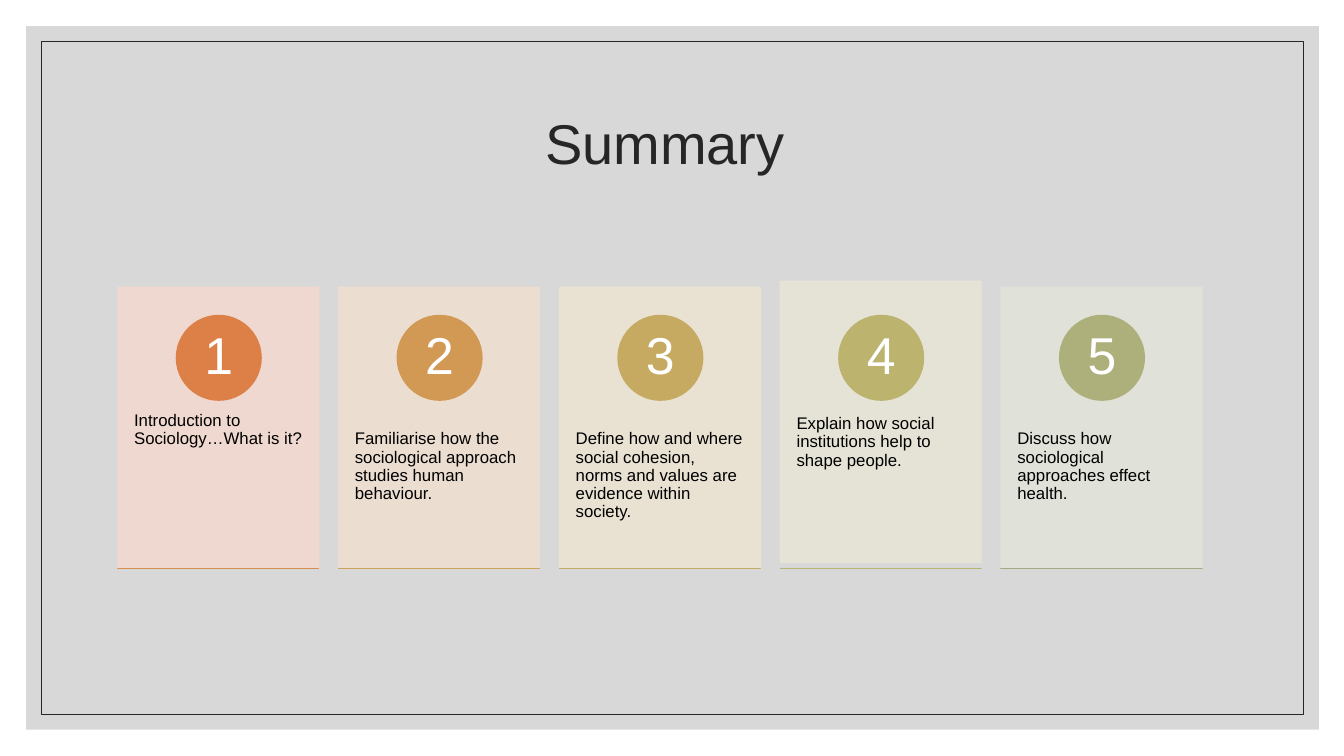
from lxml import etree
from pptx import Presentation
from pptx import util as u
from pptx.dml.color import RGBColor
from pptx.enum import shapes, text
from pptx.oxml import ns

PX = 9144
PITCH = 219
CARD_LEFT, CARD_TOP, CARD_WIDTH, CARD_HEIGHT = 117, 285, 199, 279
BADGE_TOP, BADGE_SIZE = 313, 84
RULE_Y = 564

CARDS = [
    ("Introduction to Sociology…What is it?", "F2D8CF", "DD8047", "D78E4E", 0),
    ("Familiarise how the sociological approach studies human behaviour.",
     "EEDFD1", "D29954", "CCA35B", 0),
    ("Define how and where social cohesion, norms and values are evidence within society.",
     "EBE4D3", "C6AA61", "C1AF68", 0),
    ("Explain how social institutions help to shape people.",
     "E7E5D6", "BBB36E", "B6B474", 6),
    ("Discuss how sociological approaches effect health.",
     "E1E2D8", "ADB07B", "A5AB81", 0),
]


def px(length):
    """Turn px into EMU."""
    return u.Emu(length * PX)


def paint(color_format, color, alpha=100):
    """Set a hex colour and its opacity in percent."""
    color_format.rgb = RGBColor.from_string(color)
    if alpha < 100:
        for swatch in color_format._xFill.iter(ns.qn("a:srgbClr")):
            etree.SubElement(swatch, ns.qn("a:alpha"), val=str(alpha * 1000))


def add_panel(slide, kind, box, fill=None, line=None, width=1, alpha=100):
    """Add a preset shape with optional fill and outline."""
    panel = slide.shapes.add_shape(kind, *map(px, box))
    panel.shadow.inherit = False
    if fill:
        panel.fill.solid()
        paint_fill(panel.fill, fill, alpha)
    else:
        panel.fill.background()
    if line:
        panel.line.width = u.Pt(width)
        panel.line.fill.solid()
        paint_fill(panel.line.fill, line, alpha)
    else:
        panel.line.fill.background()
    return panel


def paint_fill(fill, color, alpha):
    """Paint a solid fill."""
    paint(fill.fore_color, color, alpha)


def write(frame, words, size, color, align, anchor, insets):
    """Write one paragraph into a text frame."""
    frame.word_wrap = True
    frame.vertical_anchor = anchor
    side, end = map(px, insets)
    frame.margin_left = frame.margin_right = side
    frame.margin_top = frame.margin_bottom = end
    paragraph = frame.paragraphs[0]
    paragraph.text = words
    paragraph.alignment = align
    paragraph.line_spacing = 0.9
    paragraph.font.name = "Arial"
    paragraph.font.size = u.Pt(size)
    paint(paragraph.font.color, color)


def add_label(slide, box, *style):
    """Add a text box with one paragraph."""
    label = slide.shapes.add_textbox(*map(px, box))
    write(label.text_frame, *style)


def add_card(slide, index, words, tint, accent, rule, lift):
    """Add a numbered card with its text and bottom rule."""
    left = CARD_LEFT + index * PITCH
    top = CARD_TOP - lift
    rect = shapes.MSO_SHAPE.RECTANGLE
    add_panel(slide, rect, (left, top, CARD_WIDTH, CARD_HEIGHT), tint, tint, alpha=90)
    add_label(slide, (left, top + 106, CARD_WIDTH, 167), words, 12, "000000",
              text.PP_ALIGN.LEFT, text.MSO_ANCHOR.TOP, (16, 36))
    badge_left = left + (CARD_WIDTH - BADGE_SIZE + 1) // 2
    badge = add_panel(slide, shapes.MSO_SHAPE.OVAL,
                      (badge_left, BADGE_TOP, BADGE_SIZE, BADGE_SIZE), accent, accent)
    write(badge.text_frame, str(index + 1), 37, "FFFFFF",
          text.PP_ALIGN.CENTER, text.MSO_ANCHOR.MIDDLE, (7, 1))
    add_panel(slide, rect, (left, RULE_Y, CARD_WIDTH, 0), rule, rule)


def main():
    """Build the summary slide."""
    deck = Presentation()
    deck.slide_width, deck.slide_height = u.Inches(13.33), u.Inches(7.5)
    slide = deck.slides.add_slide(deck.slide_layouts[6])
    rect = shapes.MSO_SHAPE.RECTANGLE
    add_panel(slide, rect, (26, 26, 1282, 698), fill="BFBFBF", alpha=60)
    add_panel(slide, rect, (41, 41, 1252, 668), line="262626", width=0.5)
    add_label(slide, (117, 70, 1100, 150), "Summary ", 40, "262626",
              text.PP_ALIGN.CENTER, text.MSO_ANCHOR.MIDDLE, (10, 5))
    for index, card in enumerate(CARDS):
        add_card(slide, index, *card)
    deck.save("out.pptx")


if __name__ == "__main__":
    main()
